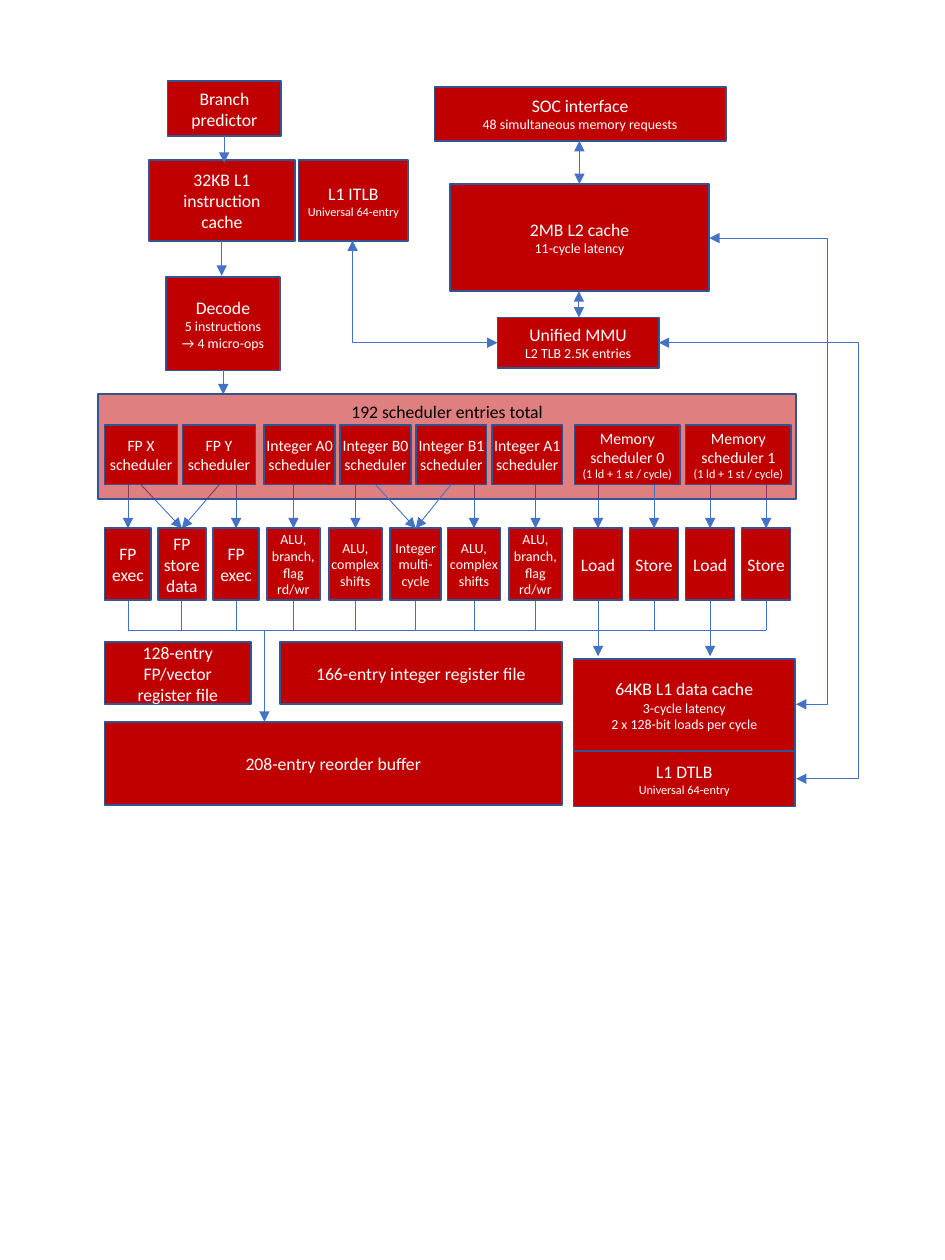
from dataclasses import dataclass

import pptx
import pptx.dml.color
import pptx.enum.shapes
import pptx.enum.text
import pptx.oxml
import pptx.oxml.ns
import pptx.presentation
import pptx.shapes.autoshape
import pptx.shapes.connector
import pptx.slide
import pptx.util
from pptx.util import Cm

RED = pptx.dml.color.RGBColor(0xC0, 0x00, 0x00)
NAVY = pptx.dml.color.RGBColor(0x32, 0x54, 0x91)
BLUE = pptx.dml.color.RGBColor(0x44, 0x72, 0xC4)
WHITE = pptx.dml.color.RGBColor(0xFF, 0xFF, 0xFF)
BLACK = pptx.dml.color.RGBColor(0x00, 0x00, 0x00)

CONNECTOR = pptx.enum.shapes.MSO_CONNECTOR
ANCHOR = pptx.enum.text.MSO_ANCHOR

SCHEDULER_TOP, SCHEDULER_HEIGHT = 8.57, 1.2
UNIT_TOP, UNIT_HEIGHT = 10.65, 1.45
FEED_TOP = SCHEDULER_TOP + SCHEDULER_HEIGHT
UNIT_BOTTOM = UNIT_TOP + UNIT_HEIGHT
BUS_Y, DATA_CACHE_TOP = 12.7, 13.28


@dataclass(frozen=True)
class Box:
    left: float
    top: float
    width: float
    height: float
    title: str
    details: tuple[str, ...] = ()
    title_size: float = 10.1
    detail_size: float = 7.9
    tight: bool = False
    color: pptx.dml.color.RGBColor = WHITE
    anchor: pptx.enum.text.MSO_ANCHOR = ANCHOR.MIDDLE


@dataclass(frozen=True)
class Unit:
    left: float
    width: float
    title: str
    size: float = 10
    feeds: tuple[float, ...] = ()
    feeds_in_front: bool = False
    reaches_cache: bool = False

    @property
    def center(self) -> float:
        return self.left + self.width / 2


@dataclass(frozen=True)
class Line:
    start: tuple[float, float]
    end: tuple[float, float]
    head: bool = False
    tail: bool = True


@dataclass(frozen=True)
class Elbow:
    start: tuple[float, float]
    end: tuple[float, float]
    preset: str = "bentConnector3"
    bend: int | None = None


BLOCKS = [
    Box(5.64, 12.95, 5.69, 1.24, "166-entry integer register file"),
    Box(2.11, 12.95, 2.95, 1.24, "128-entry FP/vector register file"),
    Box(9.07, 3.71, 5.23, 2.16, "2MB L2 cache", ("11-cycle latency",)),
    Box(3.38, 1.63, 2.29, 1.12, "Branch predictor"),
    Box(3.0, 3.23, 2.95, 1.63, "32KB L1 instruction cache"),
    Box(3.35, 5.59, 2.29, 1.88, "Decode", ("5 instructions → 4 micro-ops",)),
    Box(11.56, DATA_CACHE_TOP, 4.47, 1.88, "64KB L1 data cache",
        ("3-cycle latency", "2 x 128-bit loads per cycle")),
    Box(2.11, 14.55, 9.22, 1.68, "208-entry reorder buffer"),
    Box(8.76, 1.75, 5.87, 1.09, "SOC interface", ("48 simultaneous memory requests",)),
    Box(6.02, 3.23, 2.21, 1.63, "L1 ITLB", ("Universal 64-entry",), detail_size=7, tight=True),
    Box(11.56, 15.14, 4.47, 1.12, "L1 DTLB", ("Universal 64-entry",), detail_size=7, tight=True),
    Box(10.03, 6.4, 3.25, 1.02, "Unified MMU", ("L2 TLB 2.5K entries",)),
]

PANEL = Box(1.98, 7.95, 14.07, 2.11, "192 scheduler entries total",
            color=BLACK, anchor=ANCHOR.TOP)

SCHEDULERS = [
    Box(left, SCHEDULER_TOP, width, SCHEDULER_HEIGHT, f"{name}", details, 9, 7, True)
    for left, width, name, details in (
        [(2.11 + 1.57 * i, 1.47, f"FP {name} scheduler", ()) for i, name in enumerate("XY")]
        + [(5.33 + 1.53 * i, 1.42, f"Integer {name} scheduler", ())
           for i, name in enumerate(("A0", "B0", "B1", "A1"))]
        + [(11.58 + 2.24 * i, 2.13, f"Memory scheduler {i}", ("(1 ld + 1 st / cycle)",))
           for i in range(2)]
    )
]

UNITS = [
    Unit(2.11, 0.94, "FP exec"),
    Unit(3.18, 0.97, "FP store data", feeds=(2.84, 4.42)),
    Unit(4.29, 0.94, "FP exec"),
    Unit(5.38, 1.07, "ALU, branch, flag rd/wr", 8),
    Unit(6.63, 1.07, "ALU, complex shifts", 8),
    Unit(7.87, 1.02, "Integer multi-cycle", 8, (7.57, 9.09), True),
    Unit(9.02, 1.07, "ALU, complex shifts", 8),
    Unit(10.26, 1.07, "ALU, branch, flag rd/wr", 8),
] + [
    Unit(11.56 + 1.13 * i, 0.99, "Store" if i % 2 else "Load",
         feeds_in_front=i == 1, reaches_cache=i % 2 == 0)
    for i in range(4)
]

FLOW_LINES = [
    Line((4.52, 2.74), (4.52, 3.28)),
    Line((4.47, 4.85), (4.47, 5.56)),
    Line((4.5, 7.45), (4.5, 7.95)),
    Line((11.68, 3.71), (11.68, 2.84), head=True),
    Line((11.67, 6.4), (11.67, 5.87), head=True),
    Line((5.33, BUS_Y), (5.33, 14.55)),
    Line((UNITS[-1].center, BUS_Y), (UNITS[0].center, BUS_Y), tail=False),
]

ELBOWS = [
    Elbow((10.03, 6.91), (7.11, 4.85), "bentConnector2"),
    Elbow((16.05, 14.2), (14.3, 4.8), bend=-36500),
    Elbow((16.05, 15.7), (13.28, 6.91), bend=-45600),
]


def draw_box(slide: pptx.slide.Slide, box: Box) -> pptx.shapes.autoshape.Shape:
    shape = slide.shapes.add_shape(
        pptx.enum.shapes.MSO_SHAPE.RECTANGLE,
        Cm(box.left), Cm(box.top), Cm(box.width), Cm(box.height))
    shape.shadow.inherit = False
    shape.fill.solid()
    shape.fill.fore_color.rgb = RED
    shape.line.color.rgb = NAVY
    shape.line.width = pptx.util.Pt(1)
    frame = shape.text_frame
    frame.word_wrap = True
    frame.vertical_anchor = box.anchor
    if box.tight:
        frame.margin_left = frame.margin_right = frame.margin_top = frame.margin_bottom = Cm(0)
    for index, text in enumerate((box.title, *box.details)):
        paragraph = frame.add_paragraph() if index else frame.paragraphs[0]
        paragraph.text = text
        paragraph.alignment = pptx.enum.text.PP_ALIGN.CENTER
        paragraph.font.name = "Calibri"
        paragraph.font.size = pptx.util.Pt(box.detail_size if index else box.title_size)
        paragraph.font.color.rgb = box.color
    return shape


def draw_panel(slide: pptx.slide.Slide, box: Box) -> None:
    shape = draw_box(slide, box)
    color = shape.fill._xPr.find(".//" + pptx.oxml.ns.qn("a:srgbClr"))
    alpha = color.makeelement(pptx.oxml.ns.qn("a:alpha"), {"val": "50000"})
    color.append(alpha)


def draw_connector(slide: pptx.slide.Slide, line: Line,
                   kind: pptx.enum.shapes.MSO_CONNECTOR = CONNECTOR.STRAIGHT
                   ) -> pptx.shapes.connector.Connector:
    connector = slide.shapes.add_connector(
        kind, *(Cm(value) for value in (*line.start, *line.end)))
    connector.line.color.rgb = BLUE
    connector.line.width = pptx.util.Pt(0.5)
    properties = connector._element.spPr
    outline = properties.find(pptx.oxml.ns.qn("a:ln"))
    for tag, shown in (("a:headEnd", line.head), ("a:tailEnd", line.tail)):
        if shown:
            outline.append(outline.makeelement(pptx.oxml.ns.qn(tag), {"type": "triangle"}))
    properties.append(properties.makeelement(pptx.oxml.ns.qn("a:effectLst"), {}))
    return connector


def draw_elbow(slide: pptx.slide.Slide, elbow: Elbow) -> None:
    line = Line(elbow.start, elbow.end, head=True)
    connector = draw_connector(slide, line, CONNECTOR.ELBOW)
    geometry = connector._element.spPr.find(pptx.oxml.ns.qn("a:prstGeom"))
    geometry.set("prst", elbow.preset)
    if elbow.bend is not None:
        adjustments = geometry.find(pptx.oxml.ns.qn("a:avLst"))
        if adjustments is None:
            adjustments = geometry.makeelement(pptx.oxml.ns.qn("a:avLst"), {})
            geometry.append(adjustments)
        adjustments.append(adjustments.makeelement(
            pptx.oxml.ns.qn("a:gd"), {"name": "adj1", "fmla": f"val {elbow.bend}"}))


def draw_feeds(slide: pptx.slide.Slide, in_front: bool) -> None:
    for unit in UNITS:
        if unit.feeds_in_front == in_front:
            for start in unit.feeds or (unit.center,):
                draw_connector(slide, Line((start, FEED_TOP), (unit.center, UNIT_TOP)))


def draw_units(slide: pptx.slide.Slide) -> None:
    for unit in UNITS:
        bottom = DATA_CACHE_TOP - 0.05 if unit.reaches_cache else BUS_Y
        draw_connector(slide, Line((unit.center, UNIT_BOTTOM), (unit.center, bottom),
                                   tail=unit.reaches_cache))
        draw_box(slide, Box(unit.left, UNIT_TOP, unit.width, UNIT_HEIGHT, unit.title,
                            title_size=unit.size, tight=True))


def main() -> None:
    presentation = pptx.Presentation()
    presentation.slide_width, presentation.slide_height = Cm(19.05), Cm(25.4)
    slide = presentation.slides.add_slide(presentation.slide_layouts[6])
    for block in BLOCKS:
        draw_box(slide, block)
    for line in FLOW_LINES:
        draw_connector(slide, line)
    for elbow in ELBOWS:
        draw_elbow(slide, elbow)
    draw_feeds(slide, in_front=False)
    draw_units(slide)
    draw_panel(slide, PANEL)
    for scheduler in SCHEDULERS:
        draw_box(slide, scheduler)
    draw_feeds(slide, in_front=True)
    presentation.save("out.pptx")


if __name__ == "__main__":
    main()
